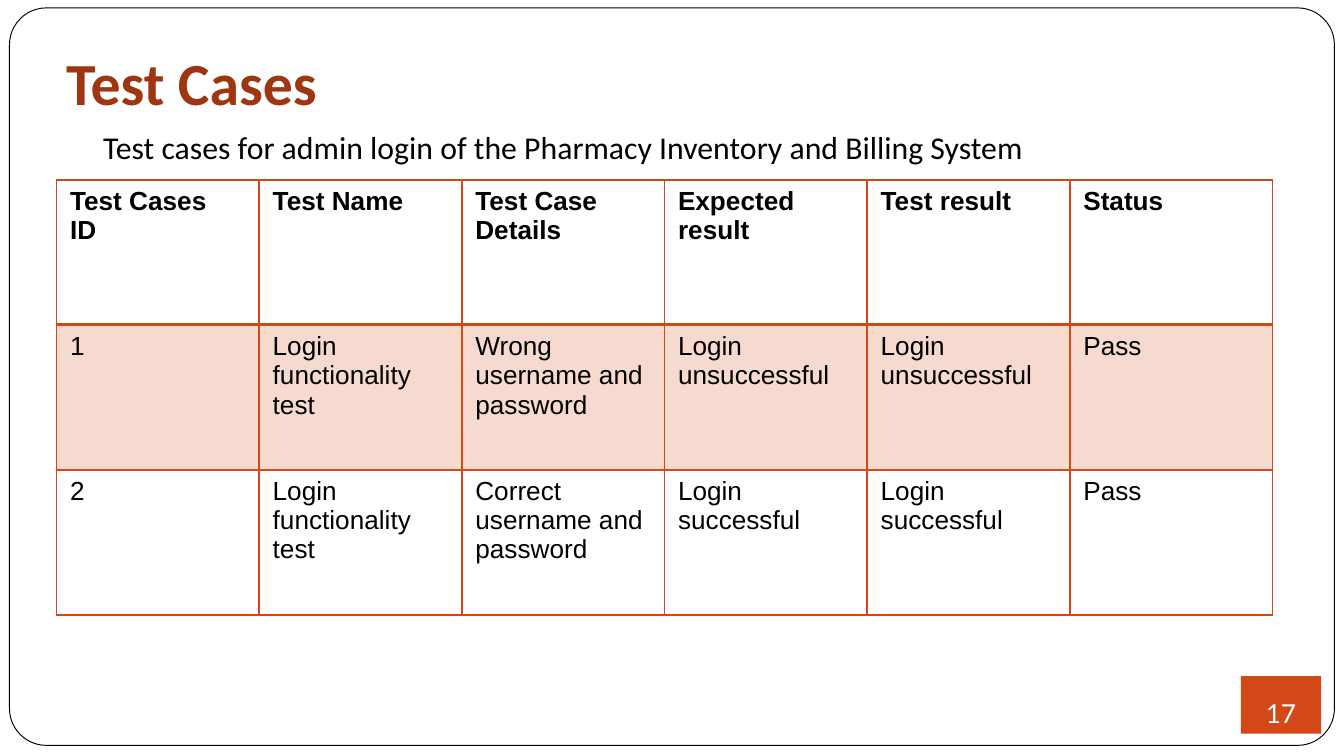
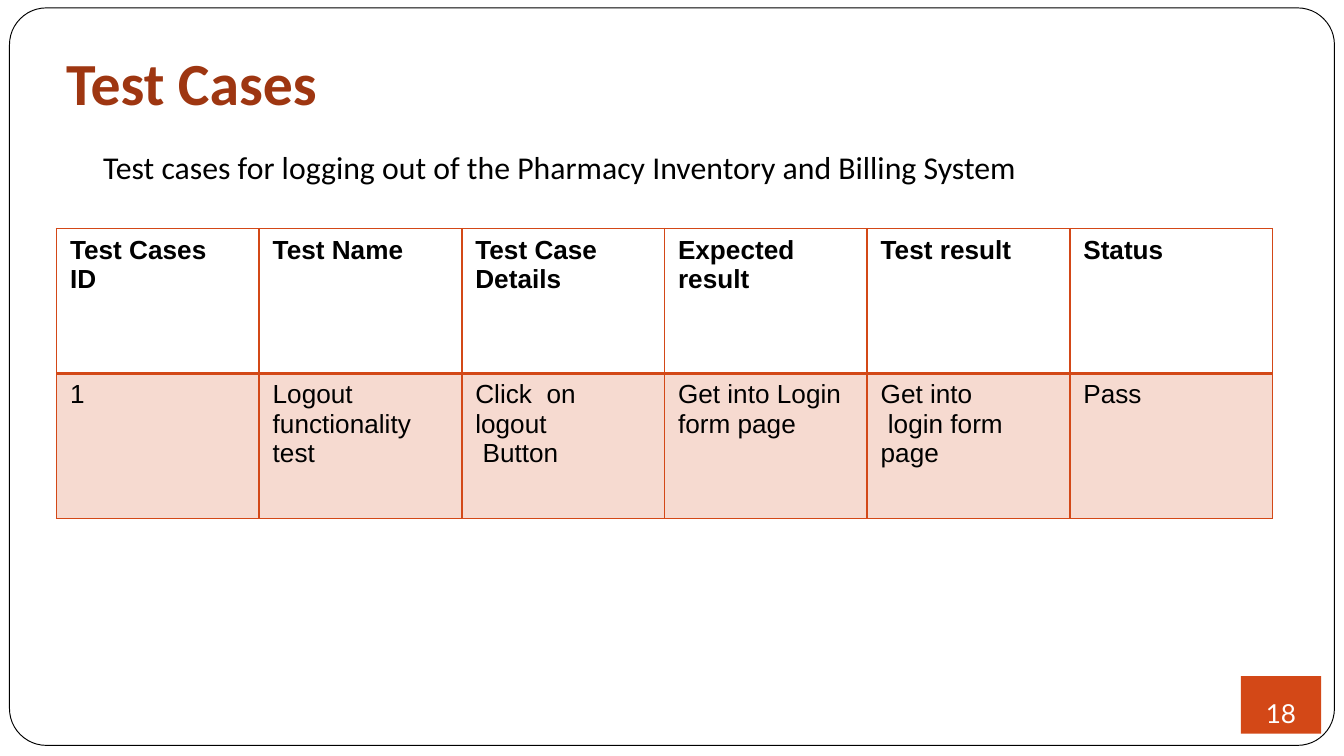
from lxml.etree import SubElement
from pptx import Presentation
from pptx.dml.color import RGBColor
from pptx.enum.shapes import MSO_SHAPE
from pptx.enum.text import MSO_ANCHOR, MSO_AUTO_SIZE, PP_ALIGN
from pptx.oxml.ns import qn
from pptx.util import Cm, Pt

COLORS = {
    "accent": "D34817",
    "title": "9E3611",
    "text": "000000",
    "paper": "FFFFFF",
}
TABLE_LEFT = 1.07
COLUMN_WIDTH = 3.83
ROW_HEIGHT = 2.74
BAND_OPACITY = 20
HEADINGS = ["Test Cases\nID", "Test Name", "Test Case Details",
            "Expected result", "Test result", "Status"]

LOGIN_CASES = [
    ["1", "Login functionality test", "Wrong username and password",
     "Login unsuccessful", "Login unsuccessful", "Pass"],
    ["2", "Login functionality test", "Correct username and password",
     "Login successful", "Login successful", "Pass"],
]
LOGOUT_CASES = [
    ["1", "Logout functionality test", "Click  on logout\n Button",
     "Get into Login form page", "Get into\n login form page", "Pass"],
]


def color(name):
    return RGBColor.from_string(COLORS[name])


def add_run(paragraph, text, size, font, color_name, bold=False):
    run = paragraph.add_run()
    run.text = text
    run.font.size = Pt(size)
    run.font.name = font
    run.font.bold = bold
    run.font.color.rgb = color(color_name)


def set_insets(frame):
    frame.margin_left = frame.margin_right = Cm(0.18)
    frame.margin_top = frame.margin_bottom = Cm(0.1)


def add_page_frame(slide):
    """Rounded outline around the page, behind everything else."""
    outline = slide.shapes.add_shape(
        MSO_SHAPE.ROUNDED_RECTANGLE, Cm(0.18), Cm(0.15), Cm(25.04), Cm(13.94))
    outline.adjustments[0] = 0.05
    outline.shadow.inherit = False
    outline.fill.solid()
    outline.fill.fore_color.rgb = color("paper")
    outline.line.color.rgb = color("text")
    outline.line.width = Pt(0.5)
    slide.shapes._spTree.insert(2, outline._element)


def set_title(slide, text):
    title = slide.shapes.title
    title.left, title.top = Cm(1.07), Cm(0.58)
    title.width, title.height = Cm(23.24), Cm(1.91)
    frame = title.text_frame
    set_insets(frame)
    frame.vertical_anchor = MSO_ANCHOR.MIDDLE
    paragraph = frame.paragraphs[0]
    paragraph.alignment = PP_ALIGN.LEFT
    add_run(paragraph, text, 32, "Calibri", "title", bold=True)


def add_page_number(slide, number):
    badge = slide.shapes.add_shape(
        MSO_SHAPE.RECTANGLE, Cm(23.45), Cm(12.78), Cm(1.52), Cm(1.09))
    badge.shadow.inherit = False
    badge.fill.solid()
    badge.fill.fore_color.rgb = color("accent")
    badge.line.fill.background()
    frame = badge.text_frame
    set_insets(frame)
    frame.vertical_anchor = MSO_ANCHOR.BOTTOM
    paragraph = frame.paragraphs[0]
    paragraph.alignment = PP_ALIGN.CENTER
    add_run(paragraph, str(number), 14, "Lato", "paper")


def add_caption(slide, text, top, width):
    caption = slide.shapes.add_textbox(Cm(1.7), Cm(top), Cm(width), Cm(0.99))
    frame = caption.text_frame
    frame.word_wrap = False
    frame.auto_size = MSO_AUTO_SIZE.SHAPE_TO_FIT_TEXT
    add_run(frame.paragraphs[0], text, 17, "Calibri", "text")


def set_borders(cell, top, bottom):
    properties = cell._tc.get_or_add_tcPr()
    for side, width in (("L", 1), ("R", 1), ("T", top), ("B", bottom)):
        line = SubElement(properties, qn(f"a:ln{side}"), w=str(Pt(width)))
        fill = SubElement(line, qn("a:solidFill"))
        SubElement(fill, qn("a:srgbClr"), val=COLORS["accent"])


def set_band(cell):
    """Fill with a see-through tint of the accent colour."""
    cell.fill.solid()
    cell.fill.fore_color.rgb = color("accent")
    tint = cell._tc.tcPr.find(f"{qn('a:solidFill')}/{qn('a:srgbClr')}")
    SubElement(tint, qn("a:alpha"), val=str(BAND_OPACITY * 1000))


def write_cell(cell, text, bold):
    frame = cell.text_frame
    for index, line in enumerate(text.split("\n")):
        paragraph = frame.add_paragraph() if index else frame.paragraphs[0]
        add_run(paragraph, line, 14, "Arial", "text", bold)


def add_case_table(slide, cases, top):
    rows = [HEADINGS] + cases
    table = slide.shapes.add_table(
        len(rows), len(HEADINGS), Cm(TABLE_LEFT), Cm(top),
        Cm(COLUMN_WIDTH * len(HEADINGS)), Cm(ROW_HEIGHT * len(rows))).table
    table.horz_banding = False
    for column in table.columns:
        column.width = Cm(COLUMN_WIDTH)
    for r, texts in enumerate(rows):
        table.rows[r].height = Cm(ROW_HEIGHT)
        for c, text in enumerate(texts):
            cell = table.cell(r, c)
            write_cell(cell, text, bold=r == 0)
            set_borders(cell, top=2 if r == 1 else 1, bottom=2 if r == 0 else 1)
            if r % 2:
                set_band(cell)
            else:
                cell.fill.background()


def add_case_slide(prs, number, caption, caption_top, caption_width, cases, table_top):
    slide = prs.slides.add_slide(prs.slide_layouts.get_by_name("Title Only"))
    add_page_frame(slide)
    set_title(slide, "Test Cases")
    add_page_number(slide, number)
    add_case_table(slide, cases, table_top)
    add_caption(slide, caption, caption_top, caption_width)


def main():
    prs = Presentation()
    prs.slide_width, prs.slide_height = Cm(25.4), Cm(14.29)
    add_case_slide(
        prs, 17,
        "Test cases for admin login of the Pharmacy Inventory and Billing System",
        2.29, 18.16, LOGIN_CASES, 3.4)
    add_case_slide(
        prs, 18,
        "Test cases for logging out of the Pharmacy Inventory and Billing System",
        2.67, 18.03, LOGOUT_CASES, 4.32)
    prs.save("out.pptx")


if __name__ == "__main__":
    main()
